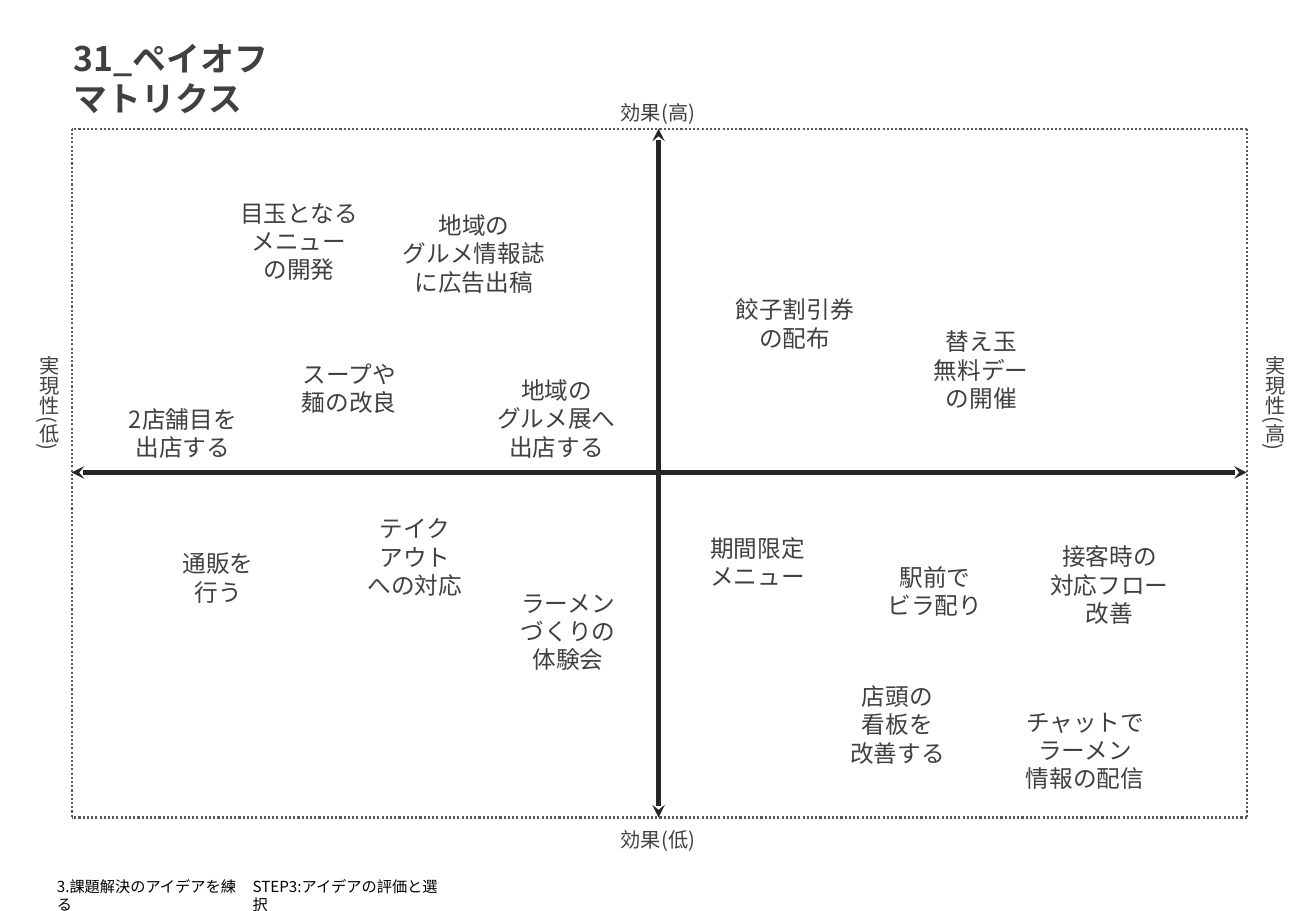
import lxml.etree
import pptx
import pptx.util
import pptx.dml.color
import pptx.enum.dml
import pptx.enum.shapes
import pptx.enum.text
import pptx.oxml.ns

Inches = pptx.util.Inches
Pt = pptx.util.Pt
RGB = pptx.dml.color.RGBColor.from_string
qn = pptx.oxml.ns.qn
Align = pptx.enum.text.PP_ALIGN
Anchor = pptx.enum.text.MSO_ANCHOR

theme = {
    "font": "Noto Sans CJK JP",
    "text": "404040",
    "foot": "000000",
    "axis": "262626",
    "frame": "595959",
    "title_size": 20,
    "idea_size": 14,
    "axis_size": 12,
    "foot_size": 9,
}

deck = pptx.Presentation()
deck.slide_width = Inches(10.83)
deck.slide_height = Inches(7.5)
slide = deck.slides.add_slide(deck.slide_layouts[6])


def add_line(ends, color, width):
    line = slide.shapes.add_connector(
        pptx.enum.shapes.MSO_CONNECTOR.STRAIGHT, *[Inches(n) for n in ends])
    line.line.color.rgb = RGB(color)
    line.line.width = Pt(width)
    lxml.etree.SubElement(line._element.spPr, qn("a:effectLst"))
    return line


def add_text(place, lines, size, color="text", align=Align.CENTER,
             anchor=Anchor.TOP, bold=False, space=None):
    box = slide.shapes.add_textbox(*[Inches(n) for n in place])
    frame = box.text_frame
    frame.word_wrap = True
    frame.auto_size = pptx.enum.text.MSO_AUTO_SIZE.SHAPE_TO_FIT_TEXT
    frame.vertical_anchor = anchor
    frame.text = "\n".join(lines)
    for para in frame.paragraphs:
        para.alignment = align
        para.line_spacing = space
        para.font.size = Pt(theme[size])
        para.font.bold = bold
        para.font.color.rgb = RGB(theme[color])
        para.font.name = theme["font"]
        props = para._p.pPr.find(qn("a:defRPr"))
        lxml.etree.SubElement(props, qn("a:ea"), typeface=theme["font"])
    return box


left, right, top, base = 0.59, 10.26, 1.06, 6.73
mid_x, mid_y = 5.42, 3.89

for ends in [(mid_x, top, mid_x, base), (left, mid_y, right, mid_y)]:
    axis = add_line(ends, theme["axis"], 2.5)
    for tag in ["a:headEnd", "a:tailEnd"]:
        lxml.etree.SubElement(axis.line._ln, qn(tag), type="stealth")

for word, y in [("効果(高)", 0.74), ("効果(低)", 6.72)]:
    add_text((3.75, y, 3.33, 0.34), [word], "axis_size", space=1.2)

for word, x in [("実現性(高)", 10.24), ("実現性(低)", 0.15)]:
    box = add_text((x, 2.83, 0.44, 2.13), [word], "axis_size", space=1.2)
    box.text_frame._txBody.bodyPr.set("vert", "eaVert")

for ends in [
    (right, top, left, top),
    (right, base, left, base),
    (right, top, right, base),
    (left, top, left, base),
]:
    edge = add_line(ends, theme["frame"], 1.25)
    edge.line.dash_style = pptx.enum.dml.MSO_LINE.ROUND_DOT

add_text((0.51, 0.26, 2.06, 0.3), ["31_ペイオフマトリクス"], "title_size",
         align=Align.LEFT, bold=True)

ideas = [
    (8.54, 4.41, 1.18, ["接客時の", "対応フロー", "改善"]),
    (3.21, 1.68, 1.38, ["地域の", "グルメ情報誌", "に広告出稿"]),
    (7.2, 4.58, 0.99, ["駅前で", "ビラ配り"]),
    (5.74, 4.34, 0.99, ["期間限定", "メニュー"]),
    (5.95, 2.38, 1.18, ["餃子割引券", "の配布"]),
    (3.99, 3.04, 1.18, ["地域の", "グルメ展へ", "出店する"]),
    (6.89, 5.56, 0.99, ["店頭の", "看板を", "改善する"]),
    (7.58, 2.64, 0.99, ["替え玉", "無料デー", "の開催"]),
    (1.4, 4.47, 0.79, ["通販を", "行う"]),
    (2.38, 2.91, 0.99, ["スープや", "麺の改良"]),
    (0.95, 3.28, 1.11, ["2店舗目を", "出店する"]),
    (1.87, 1.58, 1.18, ["目玉となる", "メニュー", "の開発"]),
    (8.34, 5.77, 1.18, ["チャットで", "ラーメン", "情報の配信"]),
    (2.92, 4.18, 0.99, ["テイク", "アウト", "への対応"]),
    (4.18, 4.79, 0.99, ["ラーメン", "づくりの", "体験会"]),
]
for x, y, width, lines in ideas:
    height = 0.09 + 0.24 * len(lines)
    add_text((x, y, width, height), lines, "idea_size", anchor=Anchor.MIDDLE)

for x, width, word in [
    (0.37, 1.7, "3.課題解決のアイデアを練る"),
    (1.98, 1.72, "STEP3:アイデアの評価と選択"),
]:
    add_text((x, 7.17, width, 0.25), [word], "foot_size", "foot", Align.LEFT)

deck.save("out.pptx")
